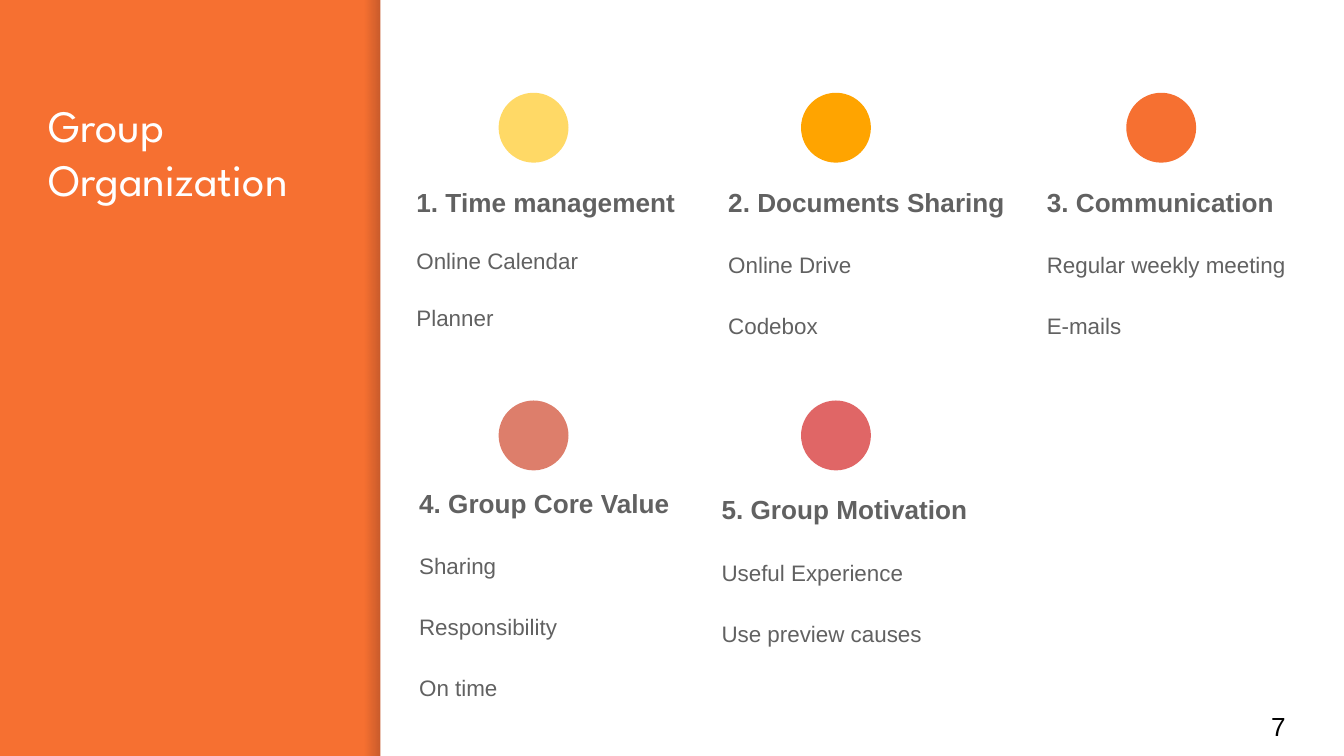
import pptx
import pptx.dml.color
import pptx.enum.shapes
import pptx.enum.text
import pptx.util
from lxml import etree
from pptx.util import Inches

ORANGE = "F67031"
WHITE = "FFFFFF"
GREY = "616161"
DOT_SIZE = 0.52
PAGE_WIDTH = 10
PAGE_HEIGHT = PAGE_WIDTH * 9 / 16
PANEL_WIDTH = 2.83
SHADE_WIDTH = 0.12

# Dot left, dot top, dot colour, text left, text top, text width,
# item line spacing, heading, items
TOPICS = [
    (3.71, 0.69, "FFD966", 3, 1.25, 2.41, 1.0,
     "1. Time management", ["Online Calendar", "Planner"]),
    (5.96, 0.69, "FFA400", 5.32, 1.25, 2.32, 1.15,
     "2. Documents Sharing", ["Online Drive", "Codebox"]),
    (8.38, 0.69, ORANGE, 7.69, 1.25, 2.41, 1.15,
     "3. Communication", ["Regular weekly meeting", "E-mails"]),
    (3.71, 2.98, "DD7E6B", 3.02, 3.49, 2.41, 1.15,
     "4. Group Core Value", ["Sharing", "Responsibility", "On time"]),
    (5.96, 2.98, "E06666", 5.27, 3.54, 2.41, 1.15,
     "5. Group Motivation", ["Useful Experience", "Use preview causes"]),
]


def color(value):
    return pptx.dml.color.RGBColor.from_string(value)


def add_shape(page, kind, left, top, width, height, fill):
    shape = page.shapes.add_shape(
        kind, Inches(left), Inches(top), Inches(width), Inches(height))
    shape.shadow.inherit = False
    shape.line.fill.background()
    shape.fill.solid()
    shape.fill.fore_color.rgb = color(fill)
    return shape


def add_edge_shade(page):
    """Darken the side panel towards the white area."""
    shade = add_shape(page, pptx.enum.shapes.MSO_SHAPE.RECTANGLE,
                      PANEL_WIDTH - SHADE_WIDTH, 0,
                      SHADE_WIDTH, PAGE_HEIGHT, ORANGE)
    shade.fill.gradient()
    shade.fill.gradient_angle = 0
    for stop in shade.fill.gradient_stops:
        stop.color.rgb = color("000014")
    tones = shade.element.spPr.xpath("./a:gradFill//a:srgbClr")
    for tone, alpha in zip(tones, ("0", "20000")):
        etree.SubElement(tone, pptx.oxml.ns.qn("a:alpha"), val=alpha)


def add_text(page, left, top, width, height, lines):
    """Each line is (text, size, font name, colour, bold)."""
    box = page.shapes.add_textbox(
        Inches(left), Inches(top), Inches(width), Inches(height))
    frame = box.text_frame
    frame.word_wrap = True
    frame.margin_left = frame.margin_right = Inches(0.1)
    frame.margin_top = frame.margin_bottom = Inches(0.1)
    frame.text = "\n".join(line[0] for line in lines)
    for para, (_, size, name, ink, bold) in zip(frame.paragraphs, lines):
        para.font.size = pptx.util.Pt(size)
        para.font.name = name
        para.font.color.rgb = color(ink)
        para.font.bold = bold
    return frame


def add_topic(page, left, top, width, spacing, heading, items):
    lines = [(heading, 14, "Arial", GREY, True)]
    lines += [(item, 12, "Arial", GREY, False) for item in items]
    frame = add_text(page, left, top, width, 1.44, lines)
    for para in frame.paragraphs:
        para.line_spacing = spacing
        para.space_after = pptx.util.Pt(16)
    frame.paragraphs[0].line_spacing = 1.15


def main():
    deck = pptx.Presentation()
    deck.slide_width = Inches(PAGE_WIDTH)
    deck.slide_height = Inches(PAGE_HEIGHT)
    page = deck.slides.add_slide(deck.slide_layouts[6])
    page.background.fill.solid()
    page.background.fill.fore_color.rgb = color(ORANGE)

    add_edge_shade(page)
    add_shape(page, pptx.enum.shapes.MSO_SHAPE.RECTANGLE, PANEL_WIDTH, 0,
              PAGE_WIDTH - PANEL_WIDTH, PAGE_HEIGHT, WHITE)
    add_text(page, 0.26, 0.63, 2.24, 4.35,
             [(word, 24, "League Spartan", WHITE, False)
              for word in ("Group", "Organization")])
    for dot_left, dot_top, fill, *topic in TOPICS:
        add_shape(page, pptx.enum.shapes.MSO_SHAPE.OVAL,
                  dot_left, dot_top, DOT_SIZE, DOT_SIZE, fill)
        add_topic(page, *topic)
    number = add_text(page, 9.36, 5.19, 0.6, 0.43,
                      [("7", 14, "Arial", "000000", False)])
    number.vertical_anchor = pptx.enum.text.MSO_ANCHOR.MIDDLE

    deck.save("out.pptx")


if __name__ == "__main__":
    main()
